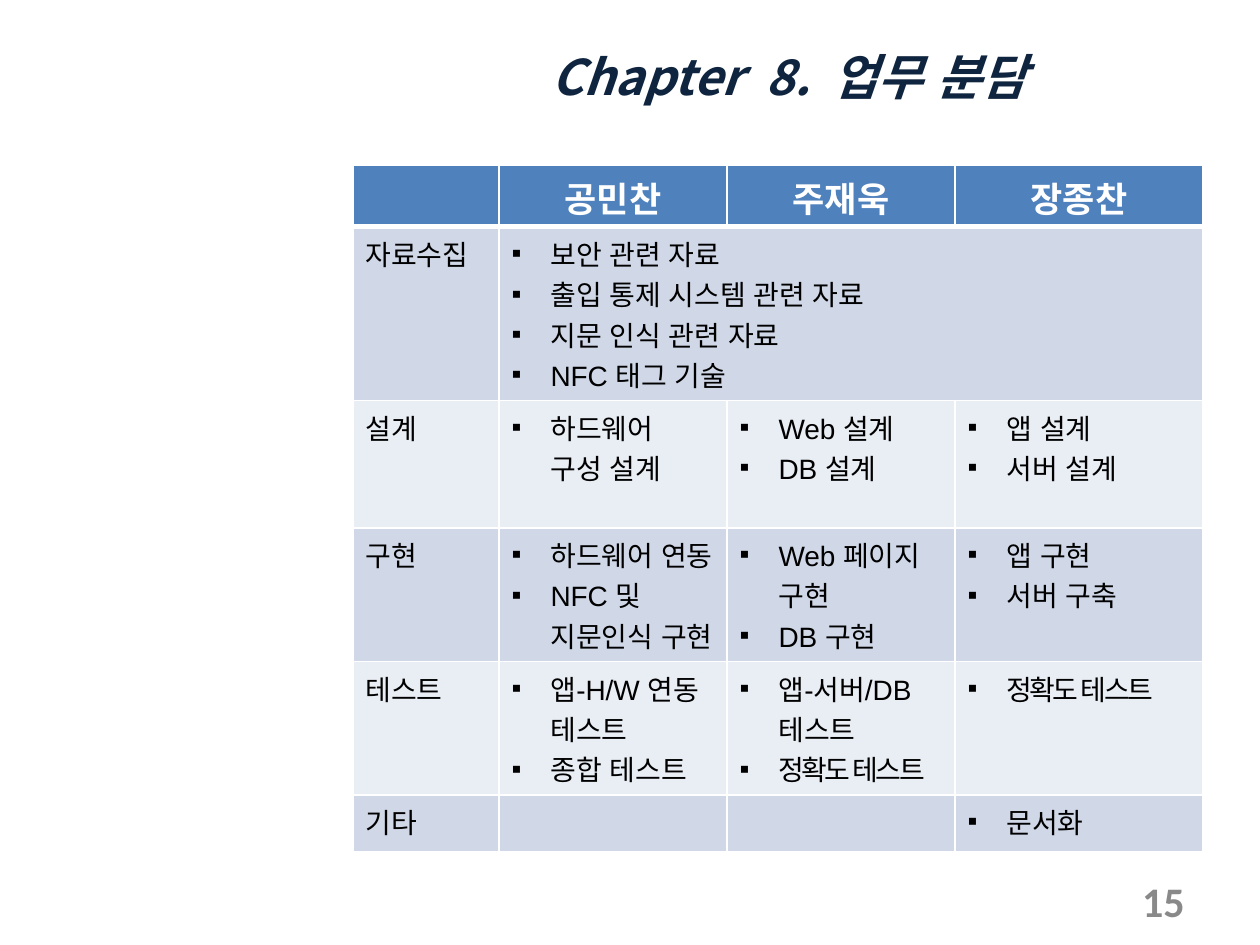
import pptx
import pptx.util
import pptx.dml.color
import pptx.enum.text
import pptx.oxml

Inches = pptx.util.Inches
Pt = pptx.util.Pt
RGB = pptx.dml.color.RGBColor
ALIGN = pptx.enum.text.PP_ALIGN
MIDDLE = pptx.enum.text.MSO_ANCHOR.MIDDLE
NS = 'xmlns:a="http://schemas.openxmlformats.org/drawingml/2006/main"'

WHITE = RGB(0xFF, 0xFF, 0xFF)
BLACK = RGB(0, 0, 0)
NAVY = RGB(0x0F, 0x24, 0x3E)
GRAY = RGB(0x89, 0x89, 0x89)
BLUE = RGB(0x4F, 0x81, 0xBD)
BANDS = [RGB(0xE9, 0xED, 0xF4), RGB(0xD0, 0xD8, 0xE8)]
KOREAN = "Noto Sans CJK KR"
TIGHT = "정확도 테스트"


def write(frame, text, size=16, font="Arial", color=BLACK, bold=False,
          italic=False, align=ALIGN.LEFT, bullet=False):
    frame.word_wrap = True
    for i, line in enumerate(text.split("\n")):
        para = frame.paragraphs[0] if i == 0 else frame.add_paragraph()
        para.text = line
        para.alignment = align
        if bullet:
            props = para._p.get_or_add_pPr()
            props.set("marL", str(Inches(0.31)))
            props.set("indent", str(Inches(-0.31)))
            props.append(pptx.oxml.parse_xml(f'<a:buFont {NS} typeface="Arial"/>'))
            props.append(pptx.oxml.parse_xml(f'<a:buChar {NS} char="▪"/>'))
        for run in para.runs:
            run.font.size = Pt(size)
            run.font.name = font
            run.font.bold = bold
            run.font.italic = italic
            run.font.color.rgb = color
            props = run._r.get_or_add_rPr()
            props.set("lang", "ko-KR")
            if line == TIGHT:
                props.set("spc", "-150")
            latin = props.find(pptx.oxml.ns.qn("a:latin"))
            latin.addnext(pptx.oxml.parse_xml(f'<a:ea {NS} typeface="{KOREAN}"/>'))


deck = pptx.Presentation()
deck.slide_width = Inches(10)
deck.slide_height = Inches(7.5)
slide = deck.slides.add_slide(deck.slide_layouts[6])

title = slide.shapes.add_textbox(Inches(2.8), Inches(0.21), Inches(6.92), Inches(0.79))
title.text_frame.vertical_anchor = MIDDLE
write(title.text_frame, "Chapter  8.  업무 분담", size=28, font=KOREAN,
      color=NAVY, bold=True, italic=True, align=ALIGN.CENTER)

rows = [
    ["", "공민찬", "주재욱", "장종찬"],
    ["자료수집", "보안 관련 자료\n출입 통제 시스템 관련 자료\n지문 인식 관련 자료\nNFC 태그 기술", "", ""],
    ["설계", "하드웨어\v구성 설계", "Web 설계\nDB 설계", "앱 설계\n서버 설계"],
    ["구현", "하드웨어 연동\nNFC 및 지문인식 구현", "Web 페이지 구현\nDB 구현", "앱 구현\n서버 구축"],
    ["테스트", "앱-H/W 연동 테스트\n종합 테스트", "앱-서버/DB 테스트\n" + TIGHT, TIGHT],
    ["기타", "", "", "문서화"],
]
widths = [1.16, 1.81, 1.81, 1.97]
heights = [0.49, 1.38, 1.01, 1.06, 1.06, 0.45]

table = slide.shapes.add_table(len(rows), len(widths), Inches(2.8), Inches(1.31),
                               Inches(sum(widths)), Inches(sum(heights))).table
for column, width in zip(table.columns, widths):
    column.width = Inches(width)
for row, height in zip(table.rows, heights):
    row.height = Inches(height)
table.cell(1, 1).merge(table.cell(1, 3))

for r, row in enumerate(rows):
    for c, text in enumerate(row):
        cell = table.cell(r, c)
        head = r == 0
        cell.fill.solid()
        cell.fill.fore_color.rgb = BLUE if head else BANDS[r % 2]
        props = cell._tc.get_or_add_tcPr()
        for i, side in enumerate("LRTB"):
            thick = (head and side == "B") or (r == 1 and side == "T")
            props.insert(i, pptx.oxml.parse_xml(
                f'<a:ln{side} {NS} w="{Pt(3 if thick else 1)}"><a:solidFill>'
                f'<a:srgbClr val="{WHITE}"/></a:solidFill></a:ln{side}>'))
        if text and head:
            write(cell.text_frame, text, size=20, color=WHITE, bold=True, align=ALIGN.CENTER)
        elif text:
            write(cell.text_frame, text, bullet=c > 0)

page = slide.shapes.add_textbox(Inches(7.17), Inches(6.95), Inches(2.33), Inches(0.4))
page.text_frame.vertical_anchor = MIDDLE
write(page.text_frame, "15", size=24, font="Calibri", color=GRAY, bold=True, align=ALIGN.RIGHT)

deck.save("out.pptx")
